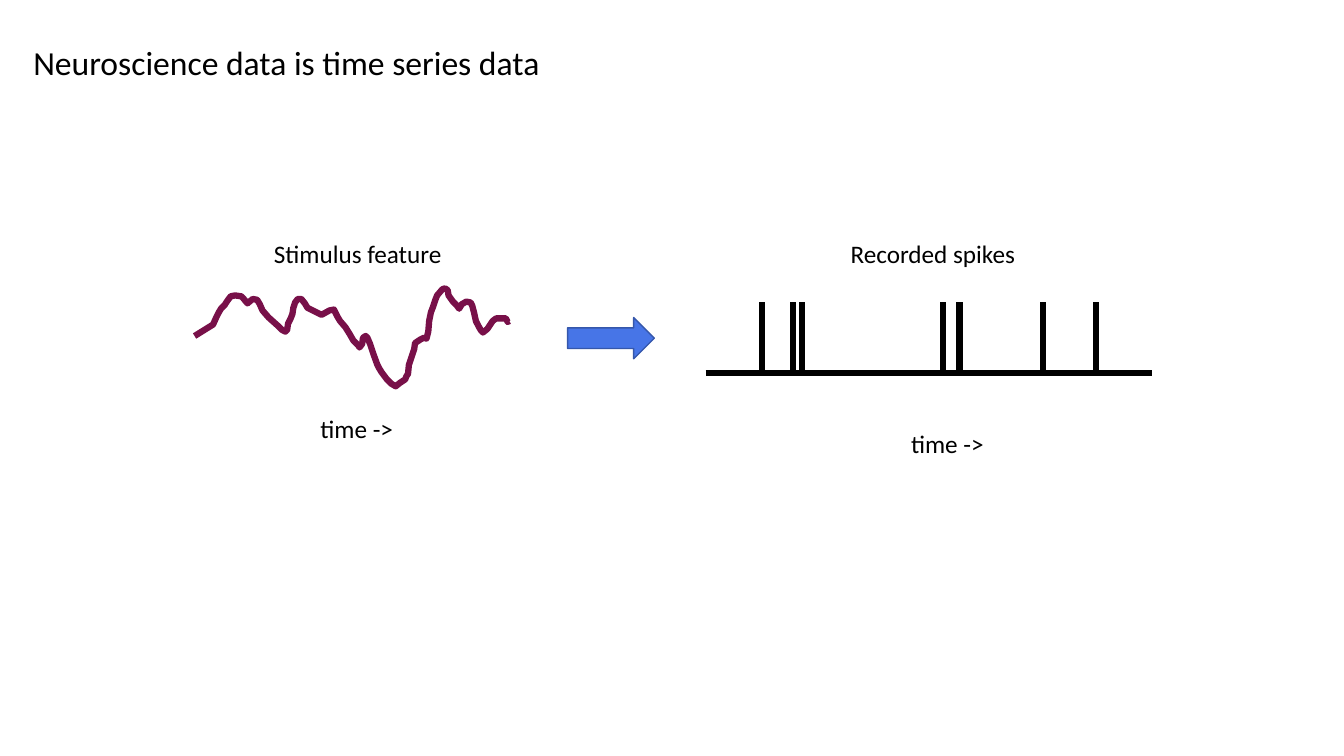
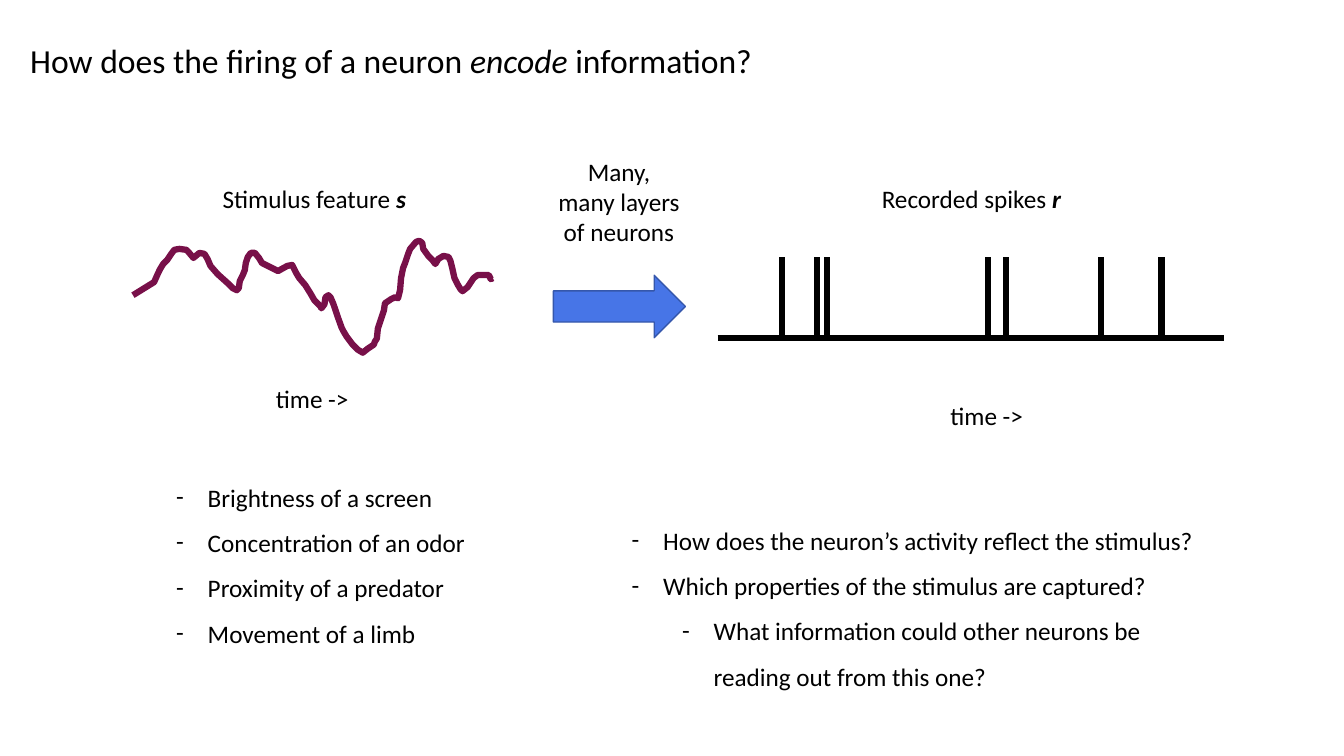
from lxml.etree import SubElement
from pptx import Presentation
from pptx.dml.color import RGBColor
from pptx.enum.shapes import MSO_CONNECTOR, MSO_SHAPE
from pptx.enum.text import MSO_ANCHOR, MSO_AUTO_SIZE, PP_ALIGN
from pptx.oxml.ns import qn
from pptx.util import Pt

# Shared style
BLACK, PLUM, BLUE, NAVY = "000000", "781049", "4775E7", "3557AB"
FONT = "Calibri"
STROKE = Pt(4.5)
BULLET_INDENT, LEVEL_INDENT = 22.5, 36

# Stimulus curve in hundredths of an inch, drawn at 0.72 points per unit on the large panel
STIMULUS = [
    (0, 54), (21, 41), (25, 32), (27, 28), (30, 23), (34, 19), (38, 13), (41, 9), (46, 8),
    (53, 9), (55, 11), (60, 17), (66, 12), (71, 13), (74, 18), (77, 25), (84, 33), (94, 42),
    (99, 47), (103, 49), (105, 47), (106, 40), (109, 34), (111, 29), (112, 22), (114, 16),
    (117, 12), (121, 12), (125, 17), (128, 22), (134, 25), (138, 27), (144, 30), (153, 25),
    (158, 24), (162, 32), (165, 37), (171, 44), (176, 52), (180, 59), (186, 65), (187, 67),
    (190, 63), (191, 56), (194, 54), (196, 56), (199, 63), (203, 75), (207, 86), (209, 90),
    (212, 95), (218, 103), (223, 108), (228, 111), (233, 107), (239, 103), (240, 100),
    (242, 97), (243, 87), (245, 81), (247, 75), (249, 69), (250, 62), (253, 60), (256, 58),
    (260, 56), (263, 57), (265, 49), (266, 37), (268, 27), (270, 22), (273, 13), (275, 8),
    (281, 1), (284, 0), (287, 2), (288, 8), (293, 15), (297, 19), (300, 23), (303, 18),
    (308, 15), (313, 16), (315, 20), (317, 28), (319, 37), (322, 43), (325, 48), (327, 50),
    (332, 46), (336, 40), (338, 37), (342, 34), (353, 34), (355, 38), (357, 37),
]

# Spike train in points: length of the baseline, height and places of the spikes
BASELINE_LENGTH, SPIKE_HEIGHT = 362, 57.6
SPIKES = [46, 71, 78, 193, 206, 274, 317]

PLAIN, ITALIC, SYMBOL = {}, {"italic": True}, {"bold": True, "italic": True}

# Boxes are (left, top, width, height); text is a list of paragraphs made of (text, format) runs
SLIDES = [
    {
        "title": [("Neuroscience data is time series data", PLAIN)],
        "title_box": (16.56, 26, 926.5, 36),
        "curve": (139, 206, 0.63),
        "spikes": (504, 266.4, 0.88),
        "arrow": (405.4, 226.8, 62, 29.5),
        "captions": [
            ((188.6, 167, 155.5, 29), [("Stimulus feature", PLAIN)]),
            ((600.5, 167, 165, 29), [("Recorded spikes", PLAIN)]),
        ],
        "time_labels": [(221.8, 291.6, 67, 29), (643.7, 302.4, 67, 29)],
    },
    {
        "title": [("How does the firing of a neuron ", PLAIN), ("encode", ITALIC),
                  (" information?", PLAIN)],
        "title_box": (14.4, 25.2, 887, 36),
        "curve": (95, 172, 0.72),
        "spikes": (512.6, 241.2, 1),
        "arrow": (395.3, 196.6, 94.3, 44.6),
        "captions": [
            ((152, 127.4, 161.3, 29), [("Stimulus feature ", PLAIN), ("s", SYMBOL)]),
            ((622.8, 127.4, 148.3, 29), [("Recorded spikes ", PLAIN), ("r", SYMBOL)]),
        ],
        "time_labels": [(190, 270, 67, 29), (671.8, 282.2, 67, 29)],
        "layers": ((391, 108, 102.2, 72.7), "Many, many layers of neurons"),
        "lists": [
            ((118.8, 329.8, 226.8, 138.2), [
                (0, "Brightness of a screen"),
                (0, "Concentration of an odor"),
                (0, "Proximity of a predator"),
                (0, "Movement of a limb"),
            ]),
            ((444.2, 360.7, 420.5, 134.6), [
                (0, "How does the neuron’s activity reflect the stimulus?"),
                (0, "Which properties of the stimulus are captured?"),
                (1, "What information could other neurons be reading out from this one?"),
            ]),
        ],
    },
]


def colour(hex_string):
    return RGBColor.from_string(hex_string)


def write(shape, paragraphs, size=18, wrap=True, align=PP_ALIGN.LEFT):
    """Fill the shape's text frame and return its paragraphs."""
    frame = shape.text_frame
    frame_format = {"word_wrap": wrap, "auto_size": MSO_AUTO_SIZE.NONE,
                    "vertical_anchor": MSO_ANCHOR.TOP}
    for name, value in frame_format.items():
        setattr(frame, name, value)
    for number, runs in enumerate(paragraphs):
        paragraph = frame.add_paragraph() if number else frame.paragraphs[0]
        paragraph.alignment = align
        for text, run_format in runs:
            run = paragraph.add_run()
            run.text = text
            run.font.color.rgb = colour(BLACK)
            for name, value in {"name": FONT, "size": Pt(size), **run_format}.items():
                setattr(run.font, name, value)
    return frame.paragraphs


presentation = Presentation()
presentation.slide_width, presentation.slide_height = Pt(960), Pt(540)

for content in SLIDES:
    slide = presentation.slides.add_slide(presentation.slide_layouts[5])
    shapes = slide.shapes

    # Title
    title = shapes.title
    for name, value in zip(("left", "top", "width", "height"), content["title_box"]):
        setattr(title, name, Pt(value))
    write(title, [content["title"]], size=24)

    # Stimulus curve
    left, top, scale = content["curve"]
    builder = shapes.build_freeform(*STIMULUS[0], scale=Pt(scale))
    builder.add_line_segments(STIMULUS[1:], close=False)
    curve = builder.convert_to_shape(Pt(left), Pt(top))
    curve.shadow.inherit = False
    curve.fill.background()
    curve.line.color.rgb = colour(PLUM)
    curve.line.width = STROKE

    # Spike train: the baseline, then one upright line per spike
    left, base, scale = content["spikes"]
    strokes = [(left, left + BASELINE_LENGTH * scale, base)]
    strokes += [(left + spike * scale, left + spike * scale, base - SPIKE_HEIGHT * scale)
                for spike in SPIKES]
    for start, end, end_top in strokes:
        line = shapes.add_connector(MSO_CONNECTOR.STRAIGHT, Pt(start), Pt(base),
                                    Pt(end), Pt(end_top))
        line.line.color.rgb = colour(BLACK)
        line.line.width = STROKE
        SubElement(line.element.spPr, qn("a:effectLst"))

    # Arrow from stimulus to spikes
    arrow = shapes.add_shape(MSO_SHAPE.RIGHT_ARROW, *map(Pt, content["arrow"]))
    arrow.shadow.inherit = False
    arrow.fill.solid()
    arrow.fill.fore_color.rgb = colour(BLUE)
    arrow.line.color.rgb = colour(NAVY)
    arrow.line.width = Pt(1)

    # Captions and time axes
    for box, runs in content["captions"]:
        write(shapes.add_textbox(*map(Pt, box)), [runs])
    for box in content["time_labels"]:
        write(shapes.add_textbox(*map(Pt, box)), [[("time ->", PLAIN)]], wrap=False)

    # Note above the arrow
    if "layers" in content:
        box, text = content["layers"]
        write(shapes.add_textbox(*map(Pt, box)), [[(text, PLAIN)]], align=PP_ALIGN.CENTER)

    # Dashed lists
    for box, items in content.get("lists", []):
        paragraphs = write(shapes.add_textbox(*map(Pt, box)),
                           [[(text, PLAIN)] for level, text in items])
        for paragraph, (level, text) in zip(paragraphs, items):
            paragraph.level = level
            paragraph.line_spacing = 1.5
            properties = paragraph._p.get_or_add_pPr()
            properties.set("marL", str(Pt(BULLET_INDENT + level * LEVEL_INDENT)))
            properties.set("indent", str(-Pt(BULLET_INDENT)))
            SubElement(properties, qn("a:buFont"), typeface=FONT)
            SubElement(properties, qn("a:buChar"), char="-")

presentation.save("out.pptx")
